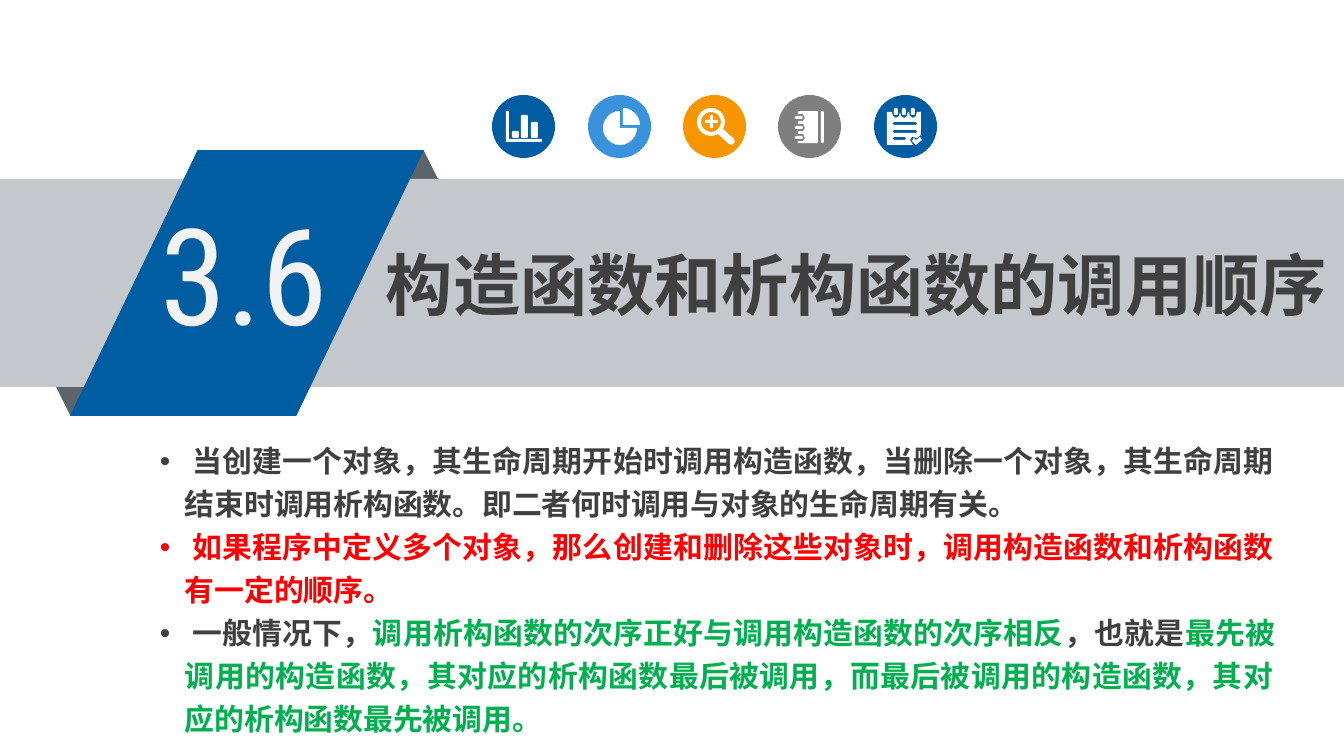
import math

import pptx
import pptx.dml.color
import pptx.enum.shapes
import pptx.enum.text
import pptx.oxml
import pptx.oxml.ns
import pptx.util

SHAPE = pptx.enum.shapes.MSO_SHAPE
PX = 914400 / 134.4
COLORS = {
    "blue": "005DA2", "sky": "3992DB", "orange": "F79600", "gray": "7F7F7F",
    "band": "C4C7CB", "fold": "5D636A", "white": "FFFFFF", "number": "F2F2F2",
    "text": "404040", "red": "FF0000", "green": "00B050",
}
CJK = "Noto Sans CJK SC"
FORMATS = {
    "number": {"size": pptx.util.Pt(72), "name": "Roboto Condensed"},
    "title": {"size": pptx.util.Pt(36), "name": CJK, "bold": True},
    "body": {"size": pptx.util.Pt(16), "name": CJK, "bold": True},
}
BULLETS = [
    [(" 当创建一个对象，其生命周期开始时调用构造函数，当删除一个对象，其生命周期结束时调用析构函数。即二者何时调用与对象的生命周期有关。", "text")],
    [(" 如果程序中定义多个对象，那么创建和删除这些对象时，调用构造函数和析构函数有一定的顺序。", "red")],
    [(" 一般情况下，", "text"),
     ("调用析构函数的次序正好与调用构造函数的次序相反", "green"),
     ("，也就是", "text"),
     ("最先被调用的构造函数，其对应的析构函数最后被调用，而最后被调用的构造函数，其对应的析构函数最先被调用。", "green")],
]


def px(n):
    return pptx.util.Emu(round(n * PX))


def rgb(name):
    return pptx.dml.color.RGBColor.from_string(COLORS[name])


def paint(sp, color):
    sp.shadow.inherit = False
    sp.fill.solid()
    sp.fill.fore_color.rgb = rgb(color)
    sp.line.fill.background()


def add_shape(shapes, kind, box, color, adj=(), rotation=0):
    sp = shapes.add_shape(kind, *map(px, box))
    for i, value in enumerate(adj):
        sp.adjustments[i] = value
    sp.rotation = rotation
    paint(sp, color)


def add_glyph(shapes, x, y, contours):
    placed = [[(px(x + dx), px(y + dy)) for dx, dy in c] for c in contours]
    builder = shapes.build_freeform(*placed[0][0], scale=1.0)
    for i, points in enumerate(placed):
        if i:
            builder.move_to(*points[0])
        builder.add_line_segments(points[1:], close=True)
    paint(builder.convert_to_shape(), "white")


def add_run(p, text, color, style):
    r = p.add_run()
    r.text = text
    for key, value in FORMATS[style].items():
        setattr(r.font, key, value)
    r.font.color.rgb = rgb(color)
    ea = pptx.oxml.parse_xml(
        f'<a:ea {pptx.oxml.ns.nsdecls("a")} typeface="{FORMATS[style]["name"]}"/>')
    r.font._element.append(ea)


def add_bullet(p):
    p.alignment = pptx.enum.text.PP_ALIGN.JUSTIFY
    p.line_spacing = 1.2
    pPr = p._p.get_or_add_pPr()
    pPr.set("marL", str(px(25)))
    pPr.set("indent", str(-px(25)))
    ns = pptx.oxml.ns.nsdecls("a")
    pPr.append(pptx.oxml.parse_xml(f'<a:buFont {ns} typeface="Arial"/>'))
    pPr.append(pptx.oxml.parse_xml(f'<a:buChar {ns} char="•"/>'))


def add_text(shapes, box, paragraphs, style, bulleted=False):
    tf = shapes.add_textbox(*map(px, box)).text_frame
    settings = {
        "word_wrap": True, "margin_left": px(10), "margin_right": px(10),
        "margin_top": px(5), "margin_bottom": px(5),
        "auto_size": pptx.enum.text.MSO_AUTO_SIZE.SHAPE_TO_FIT_TEXT,
    }
    for key, value in settings.items():
        setattr(tf, key, value)
    for i, runs in enumerate(paragraphs):
        p = tf.add_paragraph() if i else tf.paragraphs[0]
        if bulleted:
            add_bullet(p)
        for text, color in runs:
            add_run(p, text, color, style)


def bar(x, y, w, h):
    return [(x + 1, y), (x + w - 1, y), (x + w, y + 1), (x + w, y + h - 1),
            (x + w - 1, y + h), (x + 1, y + h), (x, y + h - 1), (x, y + 1)]


def arc(cx, cy, radius, start, end, steps):
    angles = [math.radians(start + (end - start) * i / steps) for i in range(steps + 1)]
    return [(cx + radius * math.cos(a), cy + radius * math.sin(a)) for a in angles]


def chart_glyph():
    axes = [(14, 16), (17, 16), (17, 44), (50, 44), (50, 47), (14, 47)]
    return [axes, bar(20, 36, 7, 7), bar(29, 20, 7, 23), bar(39, 27, 7, 16)]


def pie_glyph():
    return [[(32, 33)] + arc(32, 33, 17, 0, 270, 18),
            [(35, 30)] + arc(35, 30, 17, 270, 360, 6)]


def magnifier_glyph():
    handle = [(51, 44), (52, 47), (49, 50), (46, 49)]
    plus = [(27, 20), (30, 20), (30, 25), (35, 25), (35, 28), (30, 28),
            (30, 33), (27, 33), (27, 28), (22, 28), (22, 25), (27, 25)]
    return [arc(28, 27, 14, 60, 390, 20) + handle, arc(28, 27, 10, 0, 340, 17), plus]


def notebook_glyph():
    rings = (21, 31, 41)
    page = [(20, 16), (40, 16), (40, 48), (20, 48)]
    for y in reversed(rings):
        page += [(20, y + 5), (25, y + 5), (27, y + 2), (25, y - 2), (20, y - 2)]
    return [page, bar(43, 16, 3, 32)] + [bar(17, y, 8, 3) for y in rings]


def checklist_glyph():
    tabs = (20, 28, 37)
    page = [(13, 17)]
    for x in tabs:
        page += [(x - 2, 17), (x - 1, 21), (x + 2, 23), (x + 5, 21), (x + 6, 17)]
    page += [(47, 17), (47, 40), (43, 43), (38, 42), (36, 45), (39, 50), (13, 50)]
    rules = [bar(19, 27, 24, 3), bar(19, 35, 24, 3), bar(19, 42, 13, 3)]
    check = [(38, 46), (40, 43), (42, 45), (46, 42), (48, 45), (42, 50)]
    return [page, check] + rules + [bar(x, 13, 4, 7) for x in tabs]


def add_icons(shapes):
    icons = [(chart_glyph, "blue"), (pie_glyph, "sky"), (magnifier_glyph, "orange"),
             (notebook_glyph, "gray"), (checklist_glyph, "blue")]
    for i, (glyph, color) in enumerate(icons):
        x, y = 492 + round(i * 382 / 4), 95
        group = shapes.add_group_shape().shapes
        add_shape(group, SHAPE.OVAL, (x, y, 63, 63), color)
        add_glyph(group, x, y, glyph())


def add_banner(shapes):
    group = shapes.add_group_shape().shapes
    add_shape(group, SHAPE.ISOSCELES_TRIANGLE, (363, 150, 121, 122), "fold")
    add_shape(group, SHAPE.ISOSCELES_TRIANGLE, (10, 294, 121, 122), "fold", rotation=180)
    add_shape(group, SHAPE.RECTANGLE, (0, 179, 1344, 208), "band")
    add_shape(group, SHAPE.PARALLELOGRAM, (70, 150, 354, 266), "blue", [0.48])
    add_text(group, (150, 186, 195, 173), [[("3.6", "number")]], "number")


def main():
    prs = pptx.Presentation()
    prs.slide_width, prs.slide_height = px(1344), px(756)
    shapes = prs.slides.add_slide(prs.slide_layouts[6]).shapes
    add_banner(shapes)
    add_text(shapes, (376, 238, 968, 91), [[("构造函数和析构函数的调用顺序", "text")]], "title")
    add_text(shapes, (150, 431, 1135, 315), BULLETS, "body", bulleted=True)
    add_icons(shapes)
    prs.save("out.pptx")


if __name__ == "__main__":
    main()
